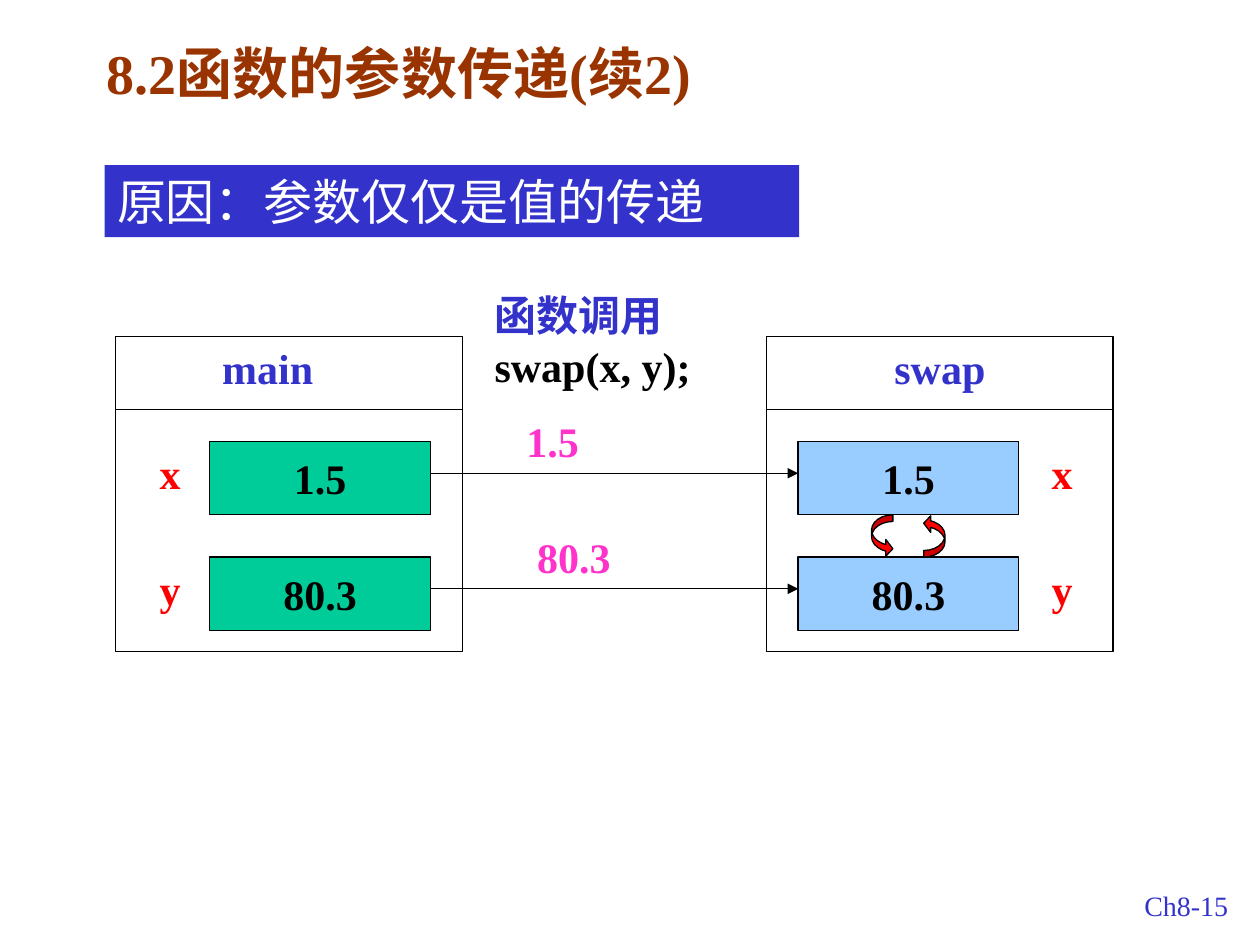
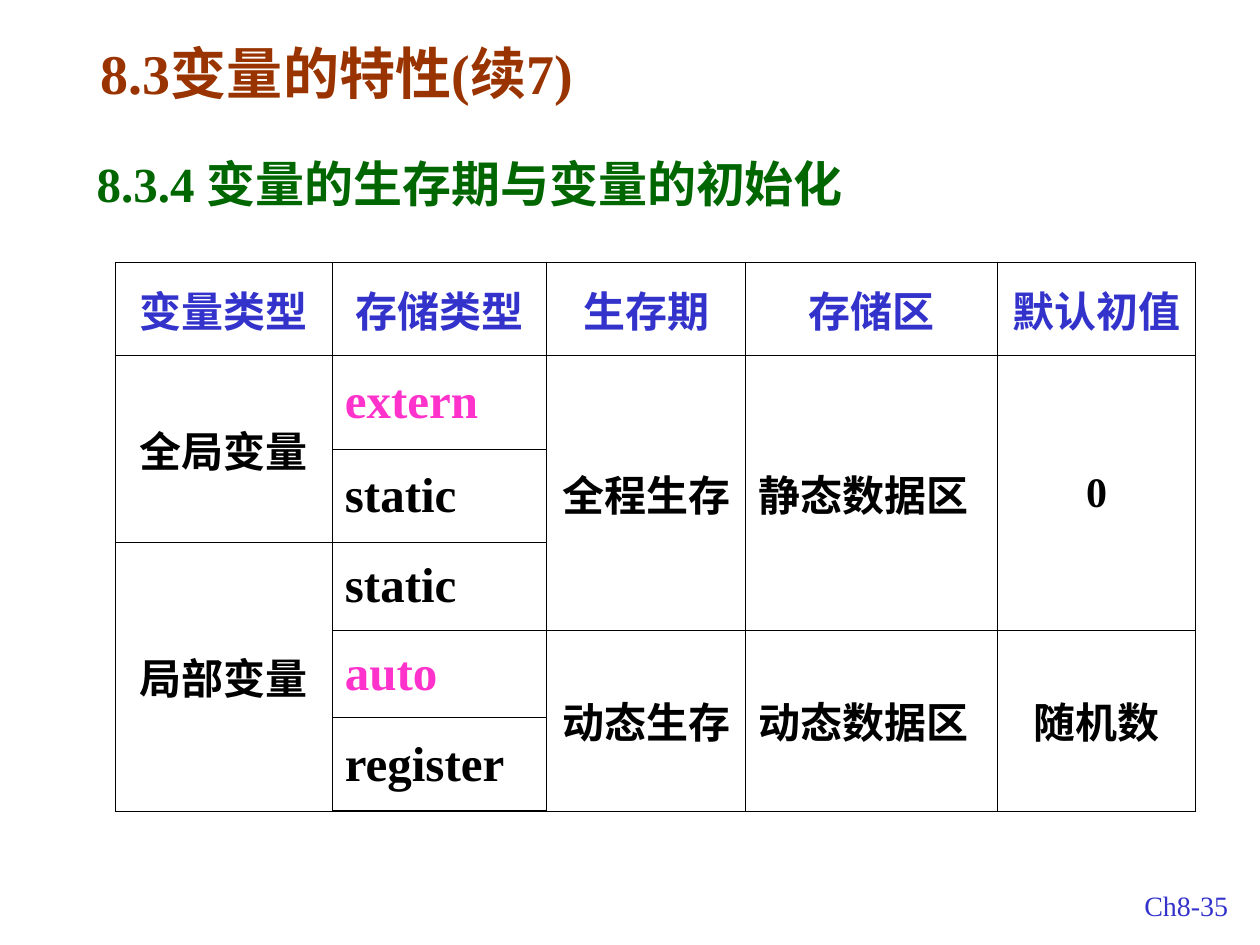
from dataclasses import dataclass

from lxml import etree
from pptx import Presentation
from pptx.dml.color import RGBColor
from pptx.enum.shapes import MSO_CONNECTOR, MSO_SHAPE
from pptx.enum.text import MSO_ANCHOR, MSO_AUTO_SIZE, PP_ALIGN
from pptx.oxml.ns import qn
from pptx.util import Cm, Pt

LEFT, CENTER = PP_ALIGN.LEFT, PP_ALIGN.CENTER
TOP, MIDDLE = MSO_ANCHOR.TOP, MSO_ANCHOR.MIDDLE
NO_FIT = MSO_AUTO_SIZE.NONE
RECT, CURL = MSO_SHAPE.RECTANGLE, MSO_SHAPE.CURVED_RIGHT_ARROW
STRAIGHT = MSO_CONNECTOR.STRAIGHT
TITLE_ONLY = 5


@dataclass(frozen=True)
class Theme:
    latin: str = "Times New Roman"
    asian: str = "Noto Sans CJK SC"
    black: str = "000000"
    white: str = "FFFFFF"
    brown: str = "993300"
    blue: str = "3333CC"
    green: str = "006600"
    pink: str = "FF33CC"
    red: str = "FF0000"
    teal: str = "00CC99"
    sky: str = "99CCFF"
    title: int = 32
    head: int = 28
    text: int = 24
    foot: int = 16
    line: float = 0.75
    thin: float = 0.45
    thick: float = 1.08


T = Theme()


@dataclass(frozen=True)
class Box:
    """A rectangle in centimetres."""
    x: float
    y: float
    w: float
    h: float

    def inner(self, dx, dy, w, h):
        """Return a box placed relative to this one."""
        return Box(self.x + dx, self.y + dy, w, h)

    def dims(self):
        return [Cm(v) for v in (self.x, self.y, self.w, self.h)]


def assign(target, values):
    for name, value in values.items():
        setattr(target, name, value)


def rgb(code):
    return RGBColor.from_string(code)


def write(frame, lines, size=T.text, bold=True, align=LEFT, anchor=TOP,
          wrap=True, before=0):
    """Fill a text frame with (text, colour) lines."""
    assign(frame, {"word_wrap": wrap, "vertical_anchor": anchor})
    for i, (words, color) in enumerate(lines):
        para = frame.add_paragraph() if i else frame.paragraphs[0]
        assign(para, {"alignment": align, "space_before": Pt(before)})
        run = para.add_run()
        run.text = words
        assign(run.font, {"name": T.latin, "size": Pt(size), "bold": bold})
        run.font.color.rgb = rgb(color)
        etree.SubElement(run._r.get_or_add_rPr(), qn("a:ea"),
                         typeface=T.asian)


def label(slide, box, *lines, **form):
    frame = slide.shapes.add_textbox(*box.dims()).text_frame
    write(frame, lines, **form)


def block(slide, box, fill=None, line=T.black, kind=RECT):
    """Add a flat shape; a colour of None means no fill or no line."""
    shape = slide.shapes.add_shape(kind, *box.dims())
    shape.shadow.inherit = False
    for paint, color in ((shape.fill, fill), (shape.line.fill, line)):
        if color:
            paint.solid()
            paint.fore_color.rgb = rgb(color)
        else:
            paint.background()
    if line:
        shape.line.width = Pt(T.line)
    return shape


def rule(slide, x, y, width, arrow=False):
    """Draw a level line, with an arrowhead at its right end on request."""
    ends = [Cm(v) for v in (x, y, x + width, y)]
    link = slide.shapes.add_connector(STRAIGHT, *ends)
    link.line.color.rgb = rgb(T.black)
    link.line.width = Pt(T.line)
    props = link._element.spPr
    if arrow:
        etree.SubElement(props.find(qn("a:ln")), qn("a:tailEnd"),
                         type="triangle")
    etree.SubElement(props, qn("a:effectLst"))


def base(deck, title, left, page):
    """Add a slide with the common title and page label."""
    slide = deck.slides.add_slide(deck.slide_layouts[TITLE_ONLY])
    head = slide.shapes.title
    spots = Box(left, 0.64, 21.39, 1.63).dims()
    assign(head, dict(zip(("left", "top", "width", "height"), spots)))
    head.text_frame.auto_size = NO_FIT
    write(head.text_frame, [(title, T.brown)], size=T.title)
    label(slide, Box(22.43, 17.78, 2.97, 0.94), (f"Ch8-{page}", T.blue),
          size=T.foot, bold=False, align=CENTER)
    return slide


VALUES = {"x": "1.5", "y": "80.3"}
FIRST, STEP = 2.12, 2.33
CELL_W, CELL_H = 4.45, 1.48


def panel(slide, box, name, fill, name_dx, cell_dx, var_dx):
    """Draw a function's frame with its variables."""
    block(slide, box)
    rule(slide, box.x, box.y + CELL_H, box.w)
    label(slide, box.inner(name_dx, 0, 4.02, 1.27), (name, T.blue))
    for i, (var, value) in enumerate(VALUES.items()):
        dy = FIRST + i * STEP
        cell = block(slide, box.inner(cell_dx, dy, CELL_W, CELL_H), fill)
        write(cell.text_frame, [(value, T.black)], align=CENTER,
              anchor=MIDDLE, wrap=False)
        label(slide, box.inner(var_dx, dy, 1.06, 1.27), (var, T.red))


def curls(slide, box):
    """Draw the two curved arrows that exchange the values."""
    width = 0.43
    for dx, turn in ((0, 0), (box.w - width, 180)):
        curl = block(slide, box.inner(dx, 0, width, box.h), T.red, kind=CURL)
        curl.rotation = turn
        for i, share in enumerate((0.31, 0.78, 0.33)):
            curl.adjustments[i] = share


def calls(slide, box):
    """Draw the call and the values passed across the gap."""
    label(slide, box.inner(1.04, -1.06, 5.5, 2.29),
          ("函数调用", T.blue), ("swap(x, y);", T.black))
    for i, (value, dx) in enumerate(zip(VALUES.values(), (1.68, 1.9))):
        dy = FIRST + i * STEP
        rule(slide, box.x, box.y + dy + 0.64, box.w, arrow=True)
        label(slide, box.inner(dx, dy - 0.64, 4.02, 1.27), (value, T.pink))


def passing(deck):
    slide = base(deck, "8.2函数的参数传递(续2)", 1.9, 15)
    band = block(slide, Box(2.11, 3.33, 14, 1.45), T.blue, None)
    write(band.text_frame, [("原因：参数仅仅是值的传递", T.white)],
          size=T.head, bold=False)
    caller = Box(2.33, 6.78, 6.99, 6.35)
    callee = caller.inner(13.12, 0, caller.w, caller.h)
    panel(slide, caller, "main", T.teal, 1.9, 1.9, 0.64)
    panel(slide, callee, "swap", T.sky, 2.33, 0.64, 5.5)
    start = caller.x + 1.9 + CELL_W
    calls(slide, Box(start, caller.y, callee.x + 0.64 - start, caller.h))
    curls(slide, callee.inner(2.12, FIRST + CELL_H, 1.48, STEP - CELL_H))


# None continues the cell above.
GRID = [
    ["变量类型", "存储类型", "生存期", "存储区", "默认初值"],
    ["全局变量", "extern", "全程生存", "静态数据区", "0"],
    [None, "static", None, None, None],
    ["局部变量", "static", None, None, None],
    [None, "auto", "动态生存", "动态数据区", "随机数"],
    [None, "register", None, None, None],
]
WIDTHS = [4.37, 4.32, 4.01, 5.08, 3.99]
HEIGHTS = [1.88, 1.88, 1.88, 1.77, 1.77, 1.88]
KIND_COL, AREA_COL = 1, 3
MARKED = ("extern", "auto")


def border(cell, row, col):
    """Edge a cell with black, thicker on the table's outside."""
    outer = {"L": col == 0, "R": col == len(WIDTHS) - 1,
             "T": row == 0, "B": row == len(HEIGHTS) - 1}
    props = cell._tc.get_or_add_tcPr()
    for side, thick in outer.items():
        width = Pt(T.thick if thick else T.thin)
        line = etree.SubElement(props, qn(f"a:ln{side}"), w=str(int(width)))
        fill = etree.SubElement(line, qn("a:solidFill"))
        etree.SubElement(fill, qn("a:srgbClr"), val=T.black)


def fill_cell(cell, words, row, col):
    kind = row > 0 and col == KIND_COL
    left = row > 0 and col in (KIND_COL, AREA_COL)
    color = T.blue if row == 0 else T.pink if words in MARKED else T.black
    write(cell.text_frame, [(words, color)],
          size=T.head if kind else T.text,
          align=LEFT if left else CENTER, before=7 if kind else 6)
    cell.vertical_anchor = MIDDLE


def grid(slide, box):
    table = slide.shapes.add_table(len(GRID), len(WIDTHS), *box.dims()).table
    assign(table, {"first_row": False, "horz_banding": False})
    for col, width in zip(table.columns, WIDTHS):
        col.width = Cm(width)
    for row, height in zip(table.rows, HEIGHTS):
        row.height = Cm(height)
    for r, line in enumerate(GRID):
        for c, words in enumerate(line):
            cell = table.cell(r, c)
            border(cell, r, c)
            cell.fill.background()
            if words is None:
                continue
            last = r
            while last + 1 < len(GRID) and GRID[last + 1][c] is None:
                last += 1
            if last > r:
                cell.merge(table.cell(last, c))
            fill_cell(cell, words, r, c)


def lifetime(deck):
    slide = base(deck, "8.3变量的特性(续7)", 1.78, 35)
    label(slide, Box(1.7, 2.97, 23.29, 1.45),
          ("8.3.4 变量的生存期与变量的初始化", T.green), size=T.head)
    grid(slide, Box(2.33, 5.29, sum(WIDTHS), sum(HEIGHTS)))


def main():
    deck = Presentation()
    assign(deck, {"slide_width": Cm(25.4), "slide_height": Cm(19.05)})
    passing(deck)
    lifetime(deck)
    deck.save("out.pptx")


if __name__ == "__main__":
    main()
